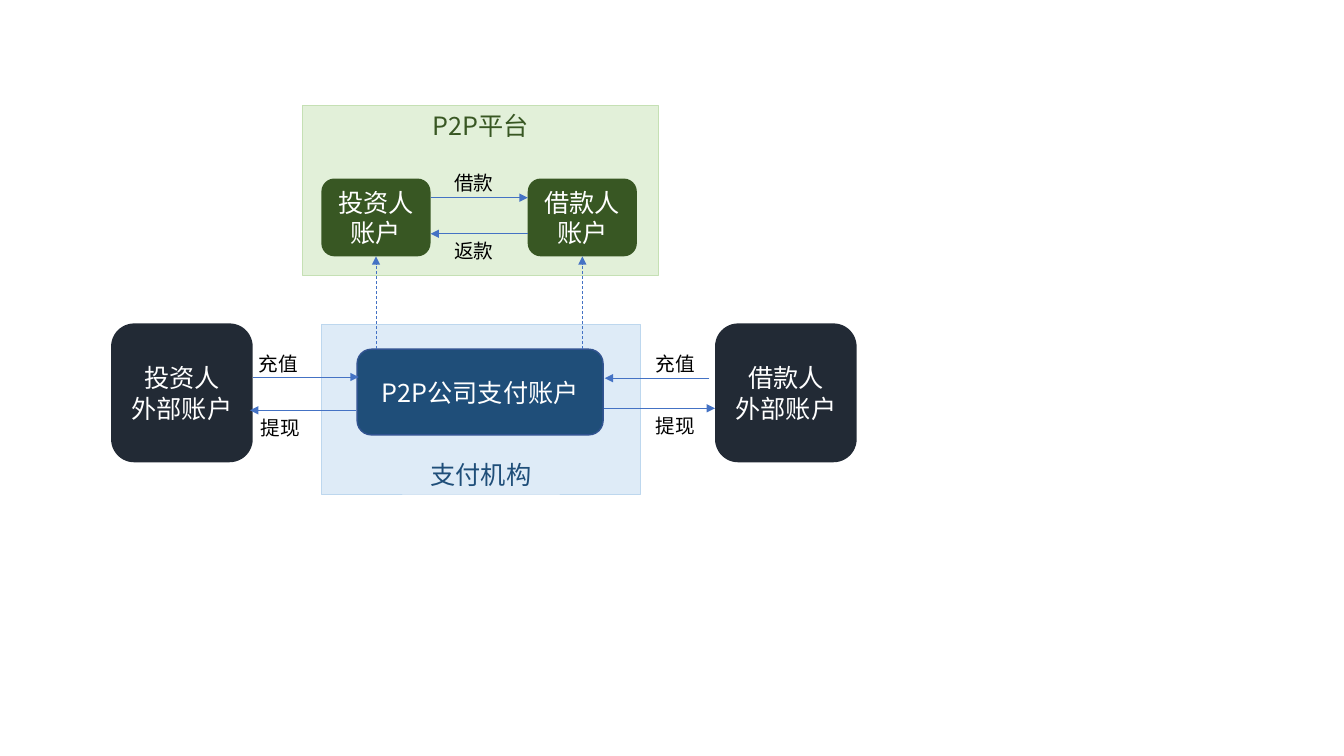
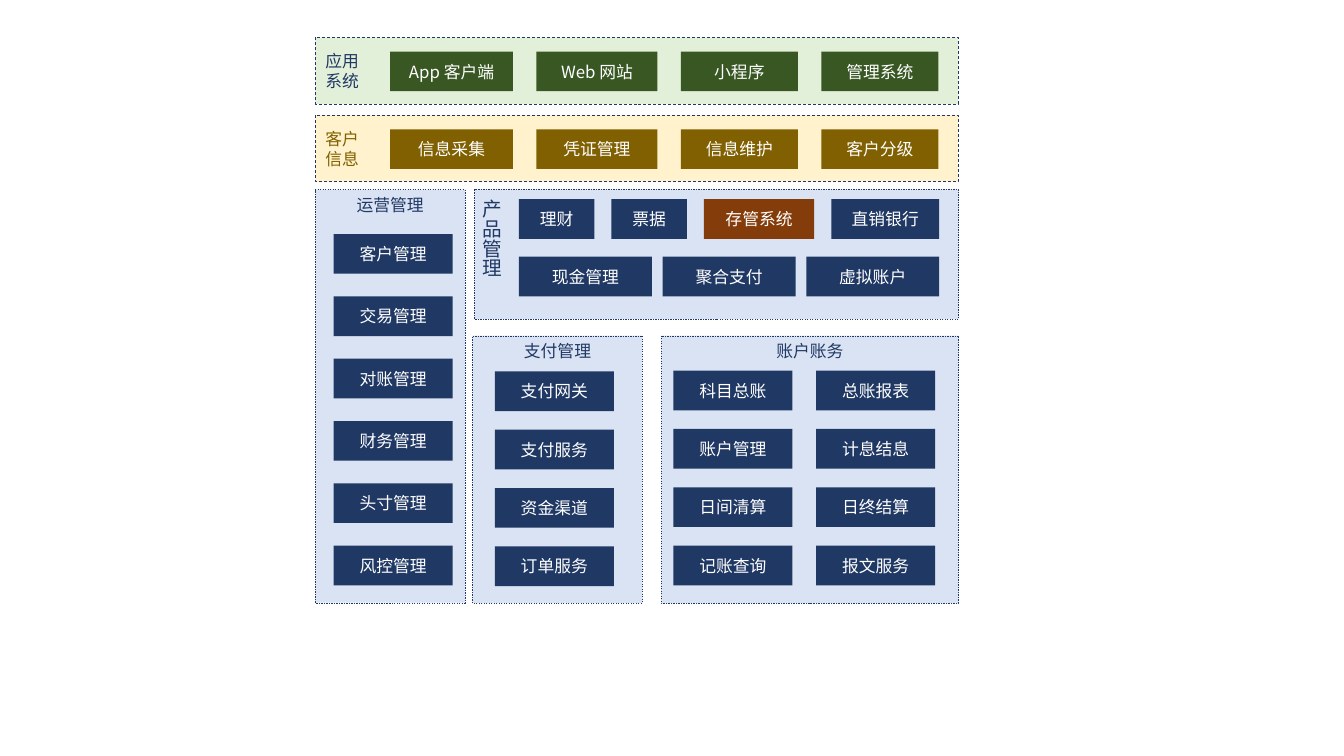
from pptx import Presentation
from pptx.dml.color import RGBColor
from pptx.enum import dml, shapes, text
from pptx.oxml import ns
from pptx.oxml.xmlchemy import OxmlElement
from pptx.util import Cm, Pt

FONT = "Noto Sans CJK SC"

WHITE = RGBColor(0xFF, 0xFF, 0xFF)
BLACK = RGBColor(0, 0, 0)
ARROW_BLUE = RGBColor(0x44, 0x72, 0xC4)
GREEN = RGBColor(0x38, 0x57, 0x23)
PALE_GREEN = RGBColor(0xE2, 0xF0, 0xD9)
GREEN_EDGE = RGBColor(0xC5, 0xE0, 0xB4)
STEEL = RGBColor(0x1F, 0x4E, 0x79)
STEEL_EDGE = RGBColor(0x32, 0x54, 0x91)
PALE_STEEL = RGBColor(0xDE, 0xEB, 0xF7)
PALE_STEEL_EDGE = RGBColor(0xBD, 0xD7, 0xEE)
CHARCOAL = RGBColor(0x22, 0x2A, 0x35)
NAVY = RGBColor(0x20, 0x38, 0x64)
PALE_NAVY = RGBColor(0xDA, 0xE3, 0xF3)
GOLD = RGBColor(0x80, 0x60, 0x00)
PALE_GOLD = RGBColor(0xFF, 0xF2, 0xCC)
RUST = RGBColor(0x84, 0x3C, 0x0B)

RECT = shapes.MSO_SHAPE.RECTANGLE
ROUNDED = shapes.MSO_SHAPE.ROUNDED_RECTANGLE
TOP, MIDDLE, BOTTOM = (text.MSO_ANCHOR.TOP, text.MSO_ANCHOR.MIDDLE,
                       text.MSO_ANCHOR.BOTTOM)
LEFT, CENTER = text.PP_ALIGN.LEFT, text.PP_ALIGN.CENTER
BOTTOM_SITE = 2

MODULE_W, MODULE_H = 3.0, 1.0


# Shared elements; places and sizes are in centimetres
def write(frame, wording, size, color, align=CENTER):
    frame.text = wording
    for paragraph in frame.paragraphs:
        paragraph.alignment = align
        font = paragraph.font
        font.name, font.size = FONT, Pt(size)
        font.color.rgb = color
        east_asian = OxmlElement("a:ea")
        east_asian.set("typeface", FONT)
        font._element.find(ns.qn("a:latin")).addnext(east_asian)


def add_block(slide, place, wording, size, fill, color=WHITE, kind=RECT,
              anchor=MIDDLE, align=CENTER, edge=None, edge_width=0.25,
              dashed=False):
    block = slide.shapes.add_shape(kind, *map(Cm, place))
    block.shadow.inherit = False
    block.fill.solid()
    block.fill.fore_color.rgb = fill
    if edge is None:
        block.line.fill.background()
    else:
        block.line.color.rgb = edge
        block.line.width = Pt(edge_width)
        if dashed:
            block.line.dash_style = dml.MSO_LINE.DASH
    block.text_frame.vertical_anchor = anchor
    write(block.text_frame, wording, size, color, align)
    return block


def add_arrow(slide, start, end, dashed=False):
    arrow = slide.shapes.add_connector(
        shapes.MSO_CONNECTOR.STRAIGHT, *map(Cm, start + end))
    arrow.line.color.rgb = ARROW_BLUE
    arrow.line.width = Pt(0.5)
    if dashed:
        arrow.line.dash_style = dml.MSO_LINE.DASH
    head = OxmlElement("a:tailEnd")
    head.set("type", "triangle")
    arrow.line._get_or_add_ln().append(head)
    arrow._element.spPr.append(OxmlElement("a:effectLst"))
    return arrow


def add_label(slide, left, top, wording):
    label = slide.shapes.add_textbox(Cm(left), Cm(top), Cm(1.5), Cm(0.86))
    label.text_frame.word_wrap = False
    write(label.text_frame, wording, 14, BLACK, LEFT)


# Architecture elements
def add_panel(slide, place, wording, **options):
    settings = dict(size=12, fill=PALE_NAVY, color=NAVY, anchor=TOP,
                    edge=NAVY, dashed=True)
    return add_block(slide, place, wording, **{**settings, **options})


def add_row(slide, left, top, gap, modules, fill, highlight=None):
    for wording, width in modules:
        add_block(slide, (left, top, width, MODULE_H), wording, 12,
                  RUST if wording == highlight else fill)
        left += width + gap


def add_grid(slide, left, top, pitch, rows):
    for index, names in enumerate(rows):
        add_row(slide, left, top + index * pitch, 0.6,
                [(name, MODULE_W) for name in names], NAVY)


def build_fund_flow(slide):
    # Payment institution and platform
    add_block(slide, (8.1, 8.17, 8.04, 4.28), "支付机构", 18, PALE_STEEL,
              STEEL, anchor=BOTTOM, edge=PALE_STEEL_EDGE)
    add_block(slide, (9, 8.8, 6.2, 2.16), "P2P公司支付账户", 18, STEEL,
              kind=ROUNDED, edge=STEEL_EDGE, edge_width=1)
    add_block(slide, (7.62, 2.66, 8.97, 4.28), "P2P平台", 18, PALE_GREEN,
              GREEN, anchor=TOP, edge=GREEN_EDGE)

    # Platform accounts, fed from the payment account
    for left, wording in ((8.1, "投资人账户"), (13.3, "借款人账户")):
        account = add_block(slide, (left, 4.5, 2.75, 1.96), wording, 18,
                            GREEN, kind=ROUNDED)
        center = left + 2.75 / 2
        feed = add_arrow(slide, (center, 8.8), (center, 6.46), dashed=True)
        feed.end_connect(account, BOTTOM_SITE)

    # External accounts
    for left, wording in ((2.8, "投资人\n外部账户"), (18.02, "借款人\n外部账户")):
        add_block(slide, (left, 8.15, 3.57, 3.5), wording, 18, CHARCOAL,
                  kind=ROUNDED)

    # Money movements: from x, to x, y, label place and wording
    for start, end, y, label_left, label_top, wording in (
            (6.38, 9.04, 9.5, 6.27, 8.74, "充值"),
            (8.97, 6.3, 10.34, 6.32, 10.36, "提现"),
            (17.88, 15.24, 9.53, 16.28, 8.74, "充值"),
            (15.21, 18.02, 10.29, 16.28, 10.31, "提现"),
            (10.85, 13.3, 4.98, 11.2, 4.17, "借款"),
            (13.3, 10.85, 5.89, 11.2, 5.89, "返款")):
        add_arrow(slide, (start, y), (end, y))
        add_label(slide, label_left, label_top, wording)


def build_architecture(slide):
    # Application and customer bands
    band_widths = (3.1, 3.05, 2.95, 2.95)
    for top, title, pale, color, fill, names in (
            (0.94, "应用\n系统", PALE_GREEN, NAVY, GREEN,
             ("App 客户端", "Web 网站", "小程序", "管理系统")),
            (2.9, "客户\n信息", PALE_GOLD, GOLD, GOLD,
             ("信息采集", "凭证管理", "信息维护", "客户分级"))):
        add_panel(slide, (7.95, top, 16.2, 1.68), title, fill=pale,
                  color=color, anchor=MIDDLE, align=LEFT, edge_width=0.5)
        add_row(slide, 9.83, top + 0.36, 0.59, zip(names, band_widths), fill)

    # Product management
    products = add_panel(slide, (11.96, 4.78, 12.2, 3.26), "产品管理",
                         size=14, anchor=BOTTOM, align=LEFT)
    products.text_frame.margin_top = Cm(0.25)
    products.text_frame._txBody.bodyPr.set("vert", "eaVert")
    add_row(slide, 13.08, 5.02, 0.43,
            (("理财", 1.9), ("票据", 1.9), ("存管系统", 2.78), ("直销银行", 2.72)),
            NAVY, highlight="存管系统")
    add_row(slide, 13.08, 6.47, 0.27,
            [(name, 3.35) for name in ("现金管理", "聚合支付", "虚拟账户")], NAVY)

    # Operations, payment and accounting
    add_panel(slide, (7.95, 4.78, 3.77, 10.41), "运营管理")
    add_grid(slide, 8.41, 5.9, 1.57,
             (("客户管理",), ("交易管理",), ("对账管理",),
              ("财务管理",), ("头寸管理",), ("风控管理",)))
    add_panel(slide, (11.91, 8.46, 4.28, 6.74), "支付管理")
    add_grid(slide, 12.47, 9.36, 1.47,
             (("支付网关",), ("支付服务",), ("资金渠道",), ("订单服务",)))
    add_panel(slide, (16.66, 8.46, 7.5, 6.74), "账户账务")
    add_grid(slide, 16.97, 9.34, 1.47,
             (("科目总账", "总账报表"), ("账户管理", "计息结息"),
              ("日间清算", "日终结算"), ("记账查询", "报文服务")))


def main():
    deck = Presentation()
    deck.slide_width, deck.slide_height = Cm(33.87), Cm(19.05)
    blank = deck.slide_layouts[6]
    for build in (build_fund_flow, build_architecture):
        build(deck.slides.add_slide(blank))
    deck.save("out.pptx")


if __name__ == "__main__":
    main()
